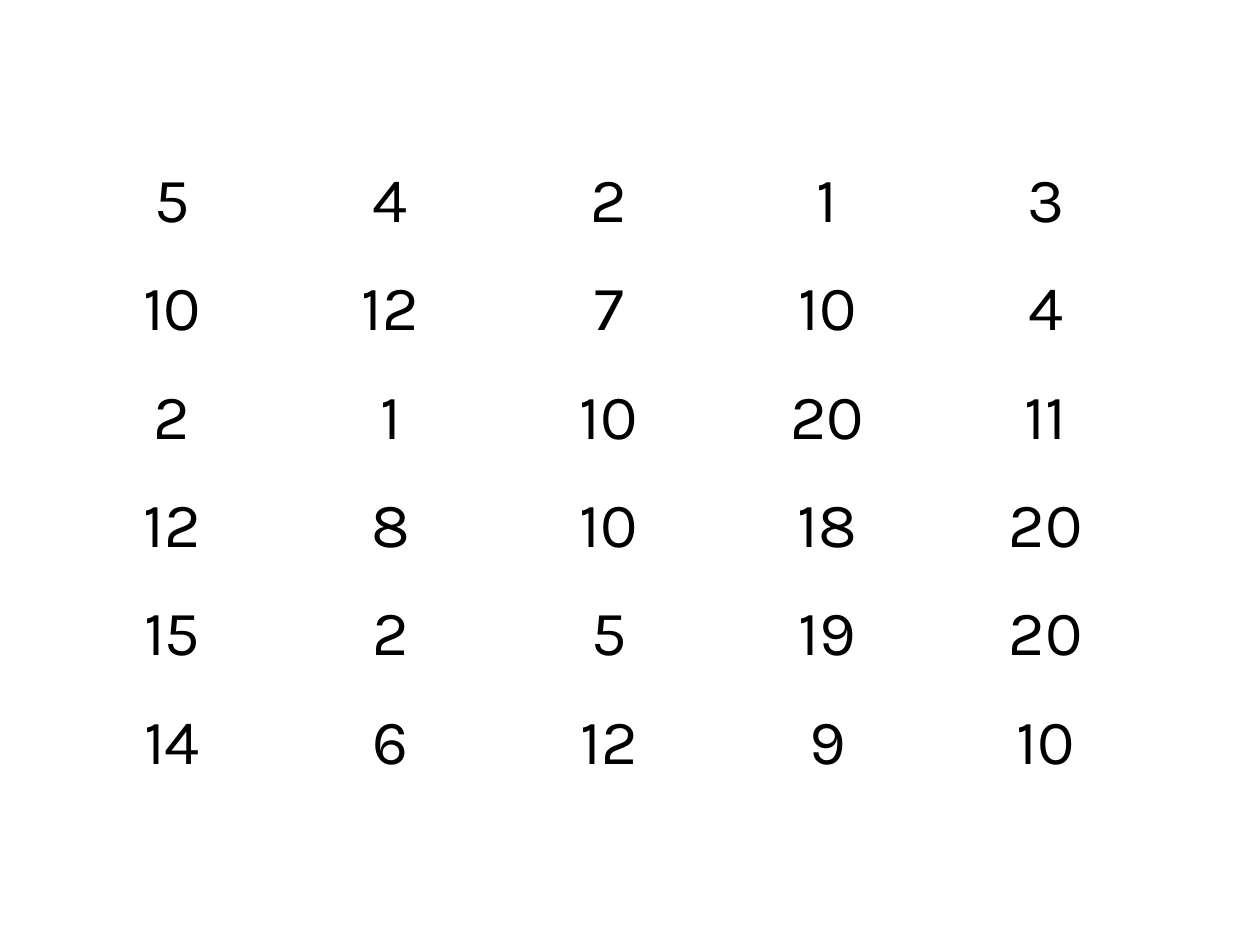
"""Build a slide with a five-by-six table of centred numbers."""
from pptx import Presentation
from pptx.dml.color import RGBColor
from pptx.enum.text import MSO_ANCHOR, PP_ALIGN
from pptx.util import Pt

PX = 914400 / 126
BLACK = RGBColor(0, 0, 0)
NUMBERS = [
    [5, 4, 2, 1, 3],
    [10, 12, 7, 10, 4],
    [2, 1, 10, 20, 11],
    [12, 8, 10, 18, 20],
    [15, 2, 5, 19, 20],
    [14, 6, 12, 9, 10],
]

presentation = Presentation()
presentation.slide_width = round(1260 * PX)
presentation.slide_height = round(945 * PX)
slide = presentation.slides.add_slide(presentation.slide_layouts[6])

left, top, width, height = (round(length * PX) for length in (63, 158, 1092, 651))
table = slide.shapes.add_table(
    len(NUMBERS), len(NUMBERS[0]), left, top, width, height
).table
table.first_row = False
table.horz_banding = False

for row_index, row in enumerate(NUMBERS):
    for column_index, number in enumerate(row):
        cell = table.cell(row_index, column_index)
        cell.fill.background()
        cell.vertical_anchor = MSO_ANCHOR.TOP
        cell.text_frame.text = str(number)
        paragraph = cell.text_frame.paragraphs[0]
        paragraph.alignment = PP_ALIGN.CENTER
        font = paragraph.runs[0].font
        font.name = "Karla"
        font.size = Pt(36)
        font.color.rgb = BLACK

presentation.save("out.pptx")
